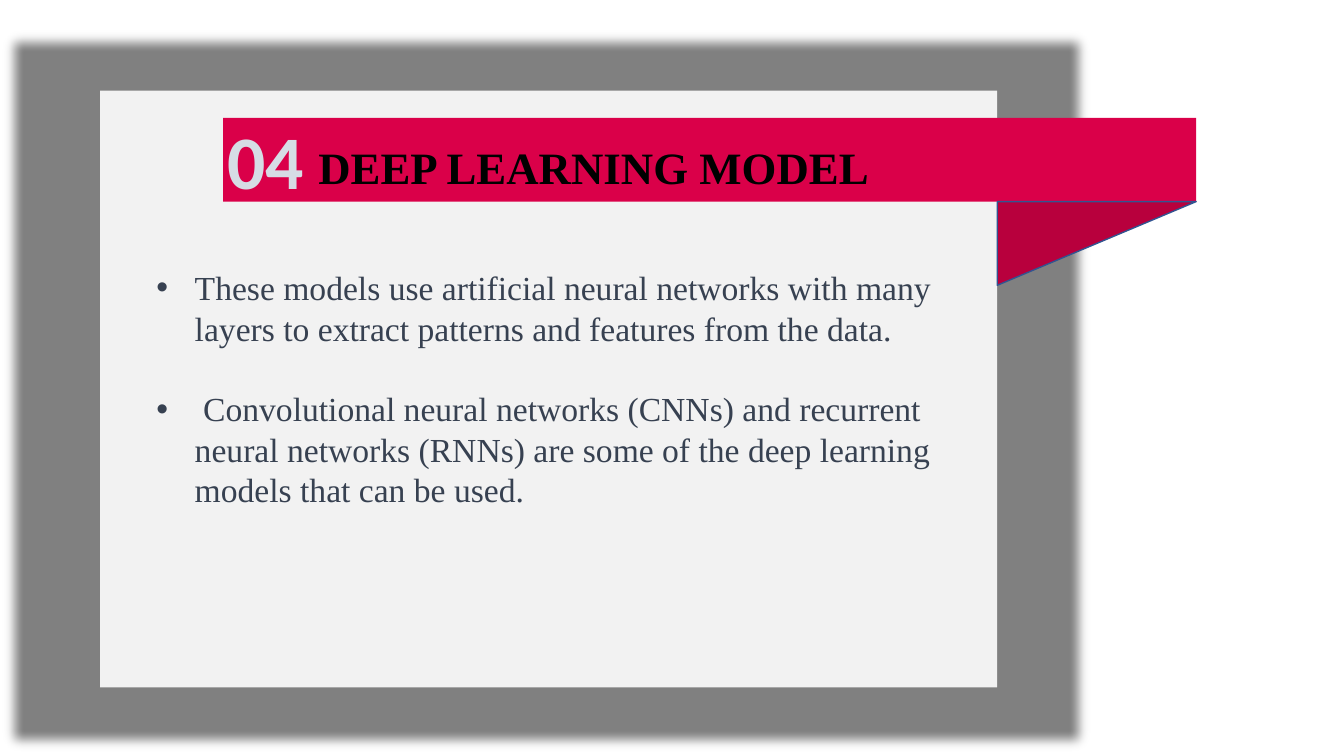
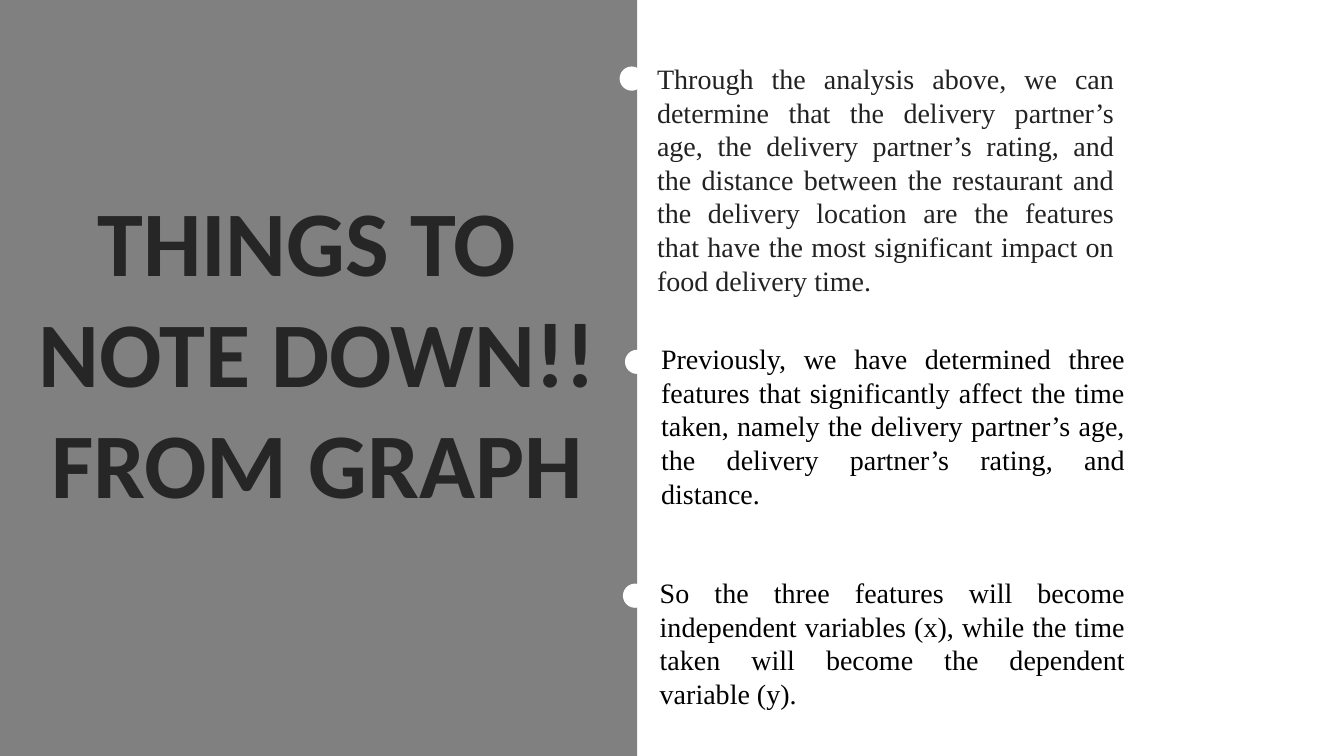
from lxml import etree
from pptx import Presentation
from pptx.dml.color import RGBColor
from pptx.enum.shapes import MSO_SHAPE
from pptx.enum.text import PP_ALIGN
from pptx.oxml.ns import qn
from pptx.util import Inches, Pt

RECTANGLE = MSO_SHAPE.RECTANGLE
OVAL = MSO_SHAPE.OVAL
RIGHT_TRIANGLE = MSO_SHAPE.RIGHT_TRIANGLE
LEFT = PP_ALIGN.LEFT
CENTER = PP_ALIGN.CENTER
JUSTIFY = PP_ALIGN.JUSTIFY

GRAY = RGBColor(0x80, 0x80, 0x80)
CARD = RGBColor(0xF2, 0xF2, 0xF2)
CRIMSON = RGBColor(0xDA, 0x00, 0x49)
DARK_CRIMSON = RGBColor(0xB8, 0x00, 0x3D)
FOLD_LINE = RGBColor(0x32, 0x54, 0x91)
PALE_BLUE = RGBColor(0xD6, 0xDC, 0xE5)
SLATE = RGBColor(0x37, 0x41, 0x51)
CHARCOAL = RGBColor(0x26, 0x26, 0x26)
INK = RGBColor(0x22, 0x22, 0x22)
BLACK = RGBColor(0x00, 0x00, 0x00)
WHITE = RGBColor(0xFF, 0xFF, 0xFF)

SERIF = "Times New Roman"
SANS = "Calibri"

presentation = Presentation()
presentation.slide_width = Inches(13.33)
presentation.slide_height = Inches(7.5)
COLUMN = presentation.slide_width / 100
ROW = presentation.slide_height / 100
blank_layout = presentation.slide_layouts[6]


def add_block(slide, kind, left, top, width, height, color):
    shape = slide.shapes.add_shape(
        kind, int(left * COLUMN), int(top * ROW), int(width * COLUMN), int(height * ROW)
    )
    shape.shadow.inherit = False
    shape.fill.solid()
    shape.fill.fore_color.rgb = color
    shape.line.fill.background()
    return shape


def add_text(slide, left, top, width, height, text, font, size, color,
             bold=False, align=LEFT, wrap=True):
    box = slide.shapes.add_textbox(
        int(left * COLUMN), int(top * ROW), int(width * COLUMN), int(height * ROW)
    )
    box.text_frame.word_wrap = wrap
    box.text_frame.text = text
    for paragraph in box.text_frame.paragraphs:
        paragraph.alignment = align
        for run in paragraph.runs:
            run.font.name = font
            run.font.size = Pt(size)
            run.font.bold = bold
            run.font.color.rgb = color
    return box


model_slide = presentation.slides.add_slide(blank_layout)
backdrop = add_block(model_slide, RECTANGLE, 0, 3.6, 81.45, 96.4, GRAY)
effects = backdrop._element.spPr.find(qn("a:effectLst"))
etree.SubElement(effects, qn("a:softEdge"), rad=str(Pt(10)))

card_right, band_top, band_height, band_right = 74.2, 15.6, 11.07, 89
add_block(model_slide, RECTANGLE, 7.45, 12, card_right - 7.45, 78.93, CARD)
add_block(model_slide, RECTANGLE, 16.6, band_top, band_right - 16.6, band_height, CRIMSON)
fold = add_block(model_slide, RIGHT_TRIANGLE, card_right, band_top + band_height,
                 band_right - card_right, band_height, DARK_CRIMSON)
fold.line.color.rgb = FOLD_LINE
fold.line.width = Pt(1)
fold._element.spPr.find(qn("a:xfrm")).set("flipV", "1")

add_text(model_slide, 22.95, 17.87, 50.6, 8.53, "DEEP LEARNING MODEL",
         SERIF, 32, BLACK, bold=True)
model_points = [
    "These models use artificial neural networks with many layers to extract patterns "
    "and features from the data.",
    " Convolutional neural networks (CNNs) and recurrent neural networks (RNNs) are some "
    "of the deep learning models that can be used.",
]
body = add_text(model_slide, 10.9, 34.67, 61.5, 33.6, "\n".join(model_points),
                SERIF, 24, SLATE)
for paragraph in body.text_frame.paragraphs:
    properties = paragraph._p.get_or_add_pPr()
    properties.set("marL", str(Inches(0.38)))
    properties.set("indent", str(-Inches(0.38)))
    etree.SubElement(properties, qn("a:buFont"), typeface="Arial")
    etree.SubElement(properties, qn("a:buChar"), char="•")
body.text_frame.paragraphs[1].space_before = Pt(29)
add_text(model_slide, 16.15, 14.4, 7.25, 13.47, "04", SANS, 54, PALE_BLUE,
         bold=True, align=CENTER, wrap=False)

notes_slide = presentation.slides.add_slide(blank_layout)
add_block(notes_slide, RECTANGLE, 0, 0, 47.4, 100, GRAY)
add_text(notes_slide, -0.5, 23.73, 48.2, 45.73, "THINGS TO \nNOTE DOWN!!\nFROM GRAPH",
         SANS, 66, CHARCOAL, bold=True, align=CENTER)

findings = [
    (46.1, 8.8, 48.15, 7.47, 35.5, 32.8, INK,
     "Through the analysis above, we can determine that the delivery partner’s age, "
     "the delivery partner’s rating, and the distance between the restaurant and the "
     "delivery location are the features that have the most significant impact on food "
     "delivery time."),
    (46.5, 46.27, 48.45, 44.53, 36, 23.73, BLACK,
     "Previously, we have determined three features that significantly affect the time "
     "taken, namely the delivery partner’s age, the delivery partner’s rating, and "
     "distance."),
    (46.35, 77.2, 48.35, 75.47, 36.1, 19.33, BLACK,
     "So the three features will become independent variables (x), while the time taken "
     "will become the dependent variable (y)."),
]
for dot_left, dot_top, left, top, width, height, color, text in findings:
    add_block(notes_slide, OVAL, dot_left, dot_top, 1.8, 3.2, WHITE)
    add_text(notes_slide, left, top, width, height, text, SERIF, 20, color, align=JUSTIFY)

presentation.save("out.pptx")
